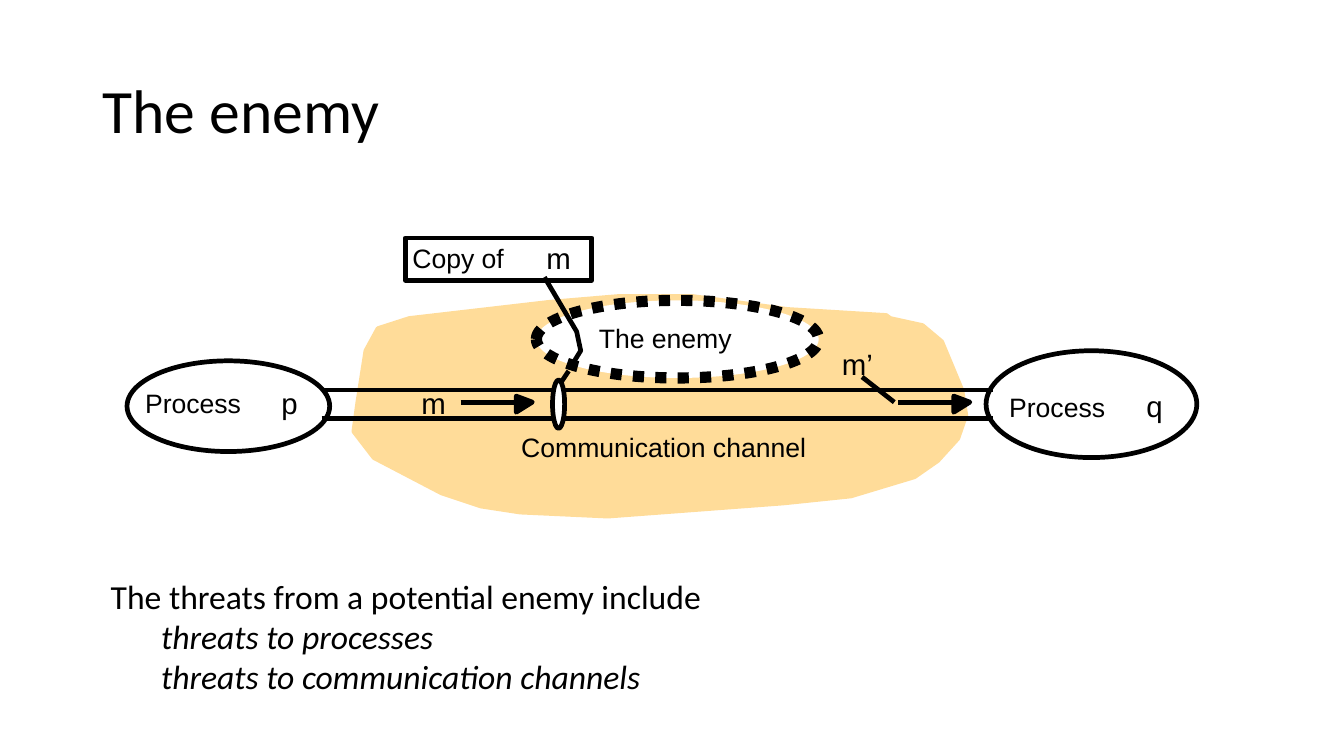
from lxml import etree
from pptx import Presentation, util as u
from pptx.dml.color import RGBColor
from pptx.enum import dml, shapes, text
from pptx.oxml.ns import qn

COLORS = {"ink": "000000", "paper": "FFFFFF", "cloud": "FFDC99"}
CELL = u.Inches(0.1)  # side of one square of the layout grid
LINE_PT = 3.38
WORD = {"name": "Arial", "size": u.Pt(19)}
SYMBOL = {"name": "Arial", "size": u.Pt(21)}
TITLE = {"name": "Calibri", "size": u.Pt(44)}
BODY = {"name": "Calibri", "size": u.Pt(24)}

# Outlines in grid cells, relative to the diagram's box
CLOUD = [(75.9, 8.3), (66.1, 7.7), (56.6, 6.4), (49.5, 6.4), (42.4, 7),
         (28.6, 8.6), (25.5, 9.6), (24.3, 11.8), (23.5, 16.9), (23.1, 19.8),
         (25.1, 22.4), (31.8, 25.9), (35.7, 27.2), (39.6, 27.8), (48.3, 28.2),
         (65.7, 26.9), (72.4, 26.2), (78.7, 24.3), (81, 22.7), (83, 20.5),
         (83.8, 18.2), (83.4, 15.7), (81.4, 10.9), (79.5, 9.3), (76.3, 8.6)]
TAP = [(42, 4.5), (45.2, 9.9), (45.6, 11.8), (44.8, 13.1)]
ARROWHEAD = [(0, 0), (0, -0.6), (1.6, 0), (0, 1)]


def cells(*values):
    return [round(v * CELL) for v in values]


def rgb(color):
    return RGBColor.from_string(COLORS[color])


def style(sp, fill=None, line="ink", width=LINE_PT):
    sp.shadow.inherit = False
    if fill:
        sp.fill.solid()
        sp.fill.fore_color.rgb = rgb(fill)
    else:
        sp.fill.background()
    sp.line.color.rgb = rgb(line)
    sp.line.width = u.Pt(width)
    return sp


def add_preset(s, kind, x, y, w, h, **look):
    return style(s.shapes.add_shape(kind, *cells(x, y, w, h)), **look)


def add_outline(s, x, y, points, close=True, **look):
    """Draw a freeform whose points are relative to (x, y)."""
    start, *rest = [tuple(cells(x + dx, y + dy)) for dx, dy in points]
    builder = s.shapes.build_freeform(*start)
    builder.add_line_segments(rest, close=close)
    return style(builder.convert_to_shape(), **look)


def add_line(s, x1, y1, x2, y2):
    cx = s.shapes.add_connector(shapes.MSO_CONNECTOR.STRAIGHT, *cells(x1, y1, x2, y2))
    cx.line.color.rgb = rgb("ink")
    cx.line.width = u.Pt(LINE_PT)
    etree.SubElement(cx._element.spPr, qn("a:effectLst"))


def write(p, words, font):
    p.text = words
    for key, value in font.items():
        setattr(p.font, key, value)
    p.font.color.rgb = rgb("ink")


def add_label(s, words, x, y, w, font=WORD):
    height = 3.2 if font is WORD else 3.5
    tf = s.shapes.add_textbox(*cells(x, y, w, height)).text_frame
    for side in ("left", "top", "right", "bottom"):
        setattr(tf, "margin_" + side, 0)
    tf.word_wrap = False
    tf.auto_size = text.MSO_AUTO_SIZE.SHAPE_TO_FIT_TEXT
    write(tf.paragraphs[0], words, font)


def add_title(s, x, y, w, h):
    tf = s.shapes.add_textbox(*cells(x, y, w, h)).text_frame
    tf.word_wrap = True
    tf.vertical_anchor = text.MSO_ANCHOR.MIDDLE
    tf.paragraphs[0].line_spacing = 0.9
    write(tf.paragraphs[0], "The enemy", TITLE)


def add_threats(s, x, y, w, h):
    tf = s.shapes.add_textbox(*cells(x, y, w, h)).text_frame
    tf.word_wrap = True
    tf.auto_size = text.MSO_AUTO_SIZE.SHAPE_TO_FIT_TEXT
    write(tf.paragraphs[0], "The threats from a potential enemy include", BODY)
    for target in ("processes", "communication channels"):
        p = tf.add_paragraph()
        p.level = 1
        p._p.get_or_add_pPr().set("marL", str(u.Inches(0.5)))
        write(p, "threats to " + target, {**BODY, "italic": True})


def add_process(s, letter, x, y, w, h, word_at, letter_at):
    """Draw a process; both label positions are relative to its box."""
    add_preset(s, shapes.MSO_SHAPE.OVAL, x, y, w, h, fill="paper")
    add_label(s, "Process", x + word_at[0], y + word_at[1], 10.4)
    add_label(s, letter, x + letter_at[0], y + letter_at[1], 1.6, SYMBOL)


def add_arrow(s, x, y):
    """Draw a message arrow whose head begins at (x, y)."""
    add_outline(s, x, y, ARROWHEAD, fill="ink")
    add_line(s, x - 5.5, y, x, y)


def add_diagram(s, x, y):
    oval = shapes.MSO_SHAPE.OVAL
    add_outline(s, x, y, CLOUD, fill="cloud", line="cloud")
    enemy = add_preset(s, oval, x + 41.2, y + 6.8, 28, 7.7, fill="paper", width=8)
    enemy.line.dash_style = dml.MSO_LINE.ROUND_DOT
    add_process(s, "q", x + 85.8, y + 11.8, 20.9, 10.6, (2.3, 4), (15.9, 3.7))
    add_process(s, "p", x + 0.6, y + 12.8, 20.1, 9, (1.8, 2.6), (15.3, 2.4))
    for wall in (15.7, 18.5):
        add_line(s, x + 19.9, y + wall, x + 86.5, y + wall)
    add_preset(s, shapes.MSO_SHAPE.RECTANGLE, x + 28.2, y + 0.6, 18.5, 4.2)
    for words, dx, dy, w, font in (
            ("Communication channel", 39.7, 19.7, 28.7, WORD),
            ("Copy of", 28.9, 1, 9.9, WORD),
            ("m", 42.2, 0.8, 2.5, SYMBOL),
            ("The enemy", 47.4, 8.9, 13.4, WORD),
            ("m", 29.8, 15.2, 2.5, SYMBOL),
            ("m’", 71.5, 11.3, 3.1, SYMBOL)):
        add_label(s, words, x + dx, y + dy, w, font)
    for head in (39.2, 82.6):
        add_arrow(s, x + head, y + 16.9)
    add_line(s, x + 76.7, y + 16.9, x + 73.5, y + 14.4)
    add_preset(s, oval, x + 42.8, y + 14.7, 1.2, 4.8, fill="paper")
    add_line(s, x + 43.6, y + 15, x + 44.4, y + 13.8)
    add_outline(s, x, y, TAP, close=False)


def main():
    prs = Presentation()
    prs.slide_width, prs.slide_height = u.Inches(13.33), u.Inches(7.5)
    s = prs.slides.add_slide(prs.slide_layouts[6])
    add_title(s, 9.2, 4, 115, 14.5)
    add_diagram(s, 12, 23)
    add_threats(s, 10, 56.6, 119.7, 13.1)
    prs.save("out.pptx")


if __name__ == "__main__":
    main()
